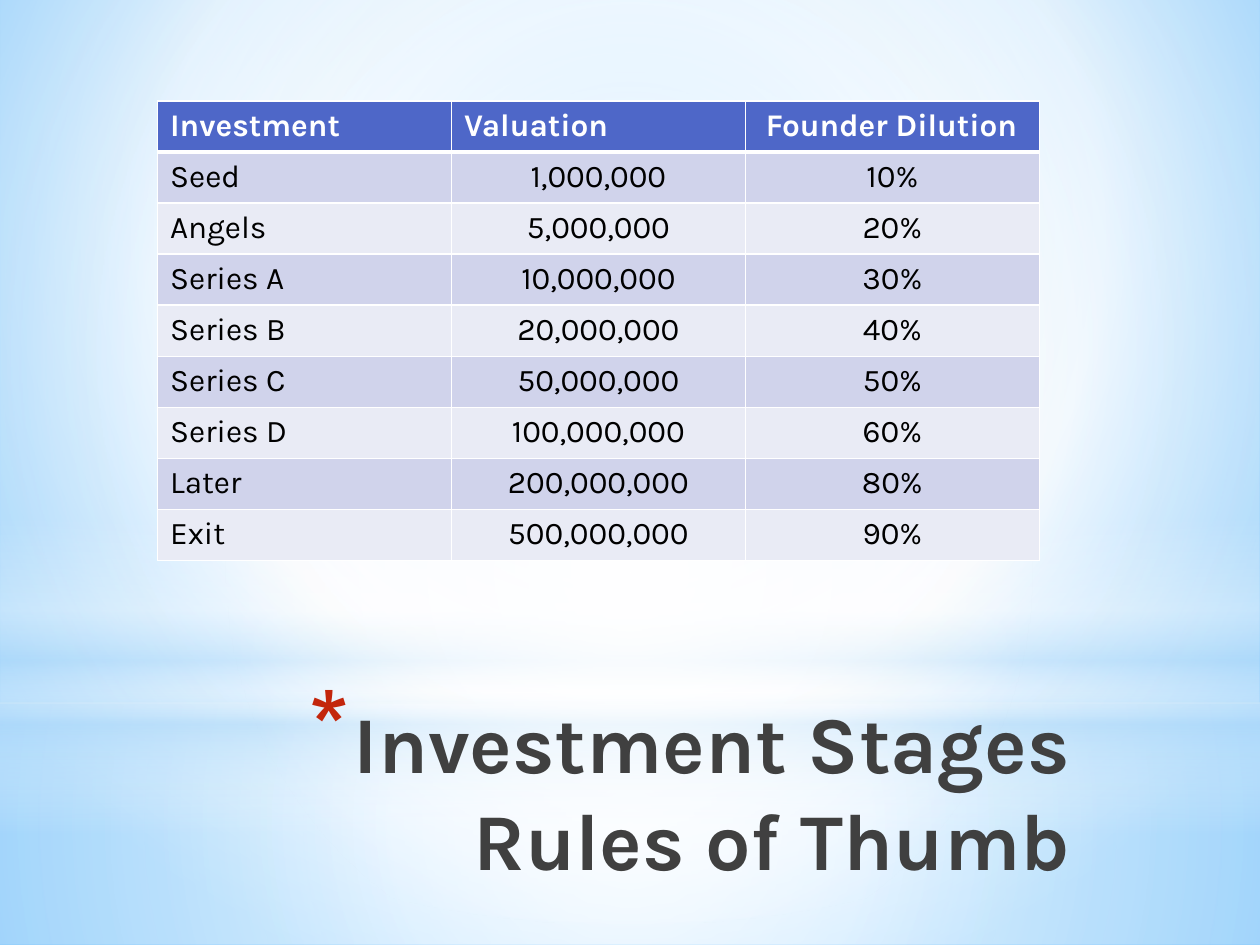
"""Build the investment stages slide: a table of rules of thumb over a soft gradient backdrop."""
from dataclasses import dataclass
from typing import Optional

from lxml import etree
from pptx import Presentation
from pptx.dml.color import RGBColor
from pptx.enum.shapes import MSO_SHAPE
from pptx.enum.text import MSO_ANCHOR, MSO_AUTO_SIZE, PP_ALIGN
from pptx.oxml.ns import qn
from pptx.util import Inches, Pt

RECTANGLE, OVAL = MSO_SHAPE.RECTANGLE, MSO_SHAPE.OVAL
LEFT, CENTER, RIGHT = PP_ALIGN.LEFT, PP_ALIGN.CENTER, PP_ALIGN.RIGHT
FONT = "Karla"
COLORS = {
    "white": "FFFFFF", "black": "000000", "title": "404040", "bullet": "C3260C",
    "header": "4E67C8", "odd": "D0D3EB", "even": "E9EBF5",
    "mist": "B4DCFA", "sky": "9ED5FF", "deep": "5BB9FF",
}


@dataclass(frozen=True)
class Stop:
    position: int
    color: str
    opacity: int = 100


@dataclass(frozen=True)
class Gradient:
    stops: tuple[Stop, ...]
    focus: Optional[tuple[int, int, int, int]] = (50, 50, 50, 50)


@dataclass(frozen=True)
class Glow:
    preset: MSO_SHAPE
    top: float
    height: float
    gradient: Gradient


@dataclass(frozen=True)
class Stage:
    name: str
    valuation: str
    dilution: str


BACKGROUND = Gradient((Stop(0, "sky"), Stop(60, "white"), Stop(100, "deep")), (20, 10, 20, 60))
GLOWS = (
    Glow(RECTANGLE, 5.58, 1.92, Gradient(
        (Stop(0, "white", 91), Stop(37, "white", 76), Stop(100, "mist", 79)))),
    Glow(RECTANGLE, 0, 5.58, Gradient(
        (Stop(0, "white", 89), Stop(48, "white", 62), Stop(100, "mist", 79)))),
    Glow(RECTANGLE, 4.12, 2.5, Gradient(
        (Stop(0, "white", 0), Stop(29, "white", 30), Stop(45, "mist", 40),
         Stop(55, "white", 26), Stop(65, "mist", 60), Stop(100, "white", 0)), None)),
    Glow(OVAL, 1.75, 5.58, Gradient((Stop(0, "white"), Stop(56, "white", 0)))),
)
HEADER = Stage("Investment", "Valuation", " Founder Dilution")
STAGES = (
    Stage("Seed", "1,000,000", "10%"),
    Stage("Angels", "5,000,000", "20%"),
    Stage("Series A", "10,000,000", "30%"),
    Stage("Series B", "20,000,000", "40%"),
    Stage("Series C", "50,000,000", "50%"),
    Stage("Series D", "100,000,000", "60%"),
    Stage("Later", "200,000,000", "80%"),
    Stage("Exit", "500,000,000", "90%"),
)


def rgb(name: str) -> RGBColor:
    """Return the named colour."""
    return RGBColor.from_string(COLORS[name])


def add_node(parent, tag: str, **attributes):
    """Append a child element with the given attributes."""
    return etree.SubElement(parent, qn(tag), {key: str(value) for key, value in attributes.items()})


def apply_gradient(properties, gradient: Gradient) -> None:
    """Put a gradient in place of the empty fill."""
    fill = etree.Element(qn("a:gradFill"), rotWithShape="1")
    stop_list = add_node(fill, "a:gsLst")
    for stop in gradient.stops:
        node = add_node(stop_list, "a:gs", pos=stop.position * 1000)
        color = add_node(node, "a:srgbClr", val=COLORS[stop.color])
        if stop.opacity < 100:
            add_node(color, "a:alpha", val=stop.opacity * 1000)
    if gradient.focus is None:
        add_node(fill, "a:lin", ang=90 * 60000, scaled=0)
    else:
        circle = add_node(fill, "a:path", path="circle")
        sides = {side: value * 1000 for side, value in zip("ltrb", gradient.focus)}
        add_node(circle, "a:fillToRect", **sides)
    properties.replace(properties.find(qn("a:noFill")), fill)


def add_glow(page, glow: Glow) -> None:
    """Draw one full-width backdrop shape."""
    shape = page.shapes.add_shape(
        glow.preset, 0, Inches(glow.top), Inches(10), Inches(glow.height))
    shape.shadow.inherit = False
    shape.line.fill.background()
    shape.fill.background()
    apply_gradient(shape.element.spPr, glow.gradient)


def format_title(page) -> None:
    """Place the title in front, with its starred bullet."""
    title = page.shapes.title
    title.element.getparent().append(title.element)
    title.left, title.top = Inches(0.92), Inches(5.45)
    title.width, title.height = Inches(7.67), Inches(1.25)
    frame = title.text_frame
    frame.text = "Investment Stages\vRules of Thumb"
    frame.word_wrap = True
    frame.auto_size = MSO_AUTO_SIZE.NONE
    frame.vertical_anchor = MSO_ANCHOR.TOP
    paragraph = frame.paragraphs[0]
    paragraph.alignment = RIGHT
    paragraph.line_spacing = 1.0
    paragraph.space_before = Pt(0)
    font = paragraph.font
    font.name, font.size, font.bold = FONT, Pt(46), True
    font.color.rgb = rgb("title")
    properties = paragraph._p.get_or_add_pPr()
    properties.set("marL", str(Inches(0.35)))
    properties.set("indent", str(Inches(-0.35)))
    bullet_color = etree.Element(qn("a:buClr"))
    add_node(bullet_color, "a:srgbClr", val=COLORS["bullet"])
    bullet_size = etree.Element(qn("a:buSzPct"), val="128000")
    bullet_mark = etree.Element(qn("a:buChar"), char="*")
    default_run = properties.find(qn("a:defRPr"))
    for node in (bullet_color, bullet_size, bullet_mark):
        default_run.addprevious(node)


def set_borders(cell, bottom: float) -> None:
    """Draw white cell borders with the given bottom width in points."""
    properties = cell._tc.get_or_add_tcPr()
    widths = {"a:lnL": 1, "a:lnR": 1, "a:lnT": 1, "a:lnB": bottom}
    for index, (tag, width) in enumerate(widths.items()):
        line = etree.Element(qn(tag), w=str(Pt(width)))
        add_node(add_node(line, "a:solidFill"), "a:srgbClr", val=COLORS["white"])
        properties.insert(index, line)


def format_cell(cell, text: str, fill: str, align: PP_ALIGN, is_header: bool) -> None:
    """Write and style one table cell."""
    cell.text = text
    cell.fill.solid()
    cell.fill.fore_color.rgb = rgb(fill)
    set_borders(cell, 3 if is_header else 1)
    paragraph = cell.text_frame.paragraphs[0]
    paragraph.alignment = align
    font = paragraph.font
    font.name, font.size, font.bold = FONT, Pt(18), is_header
    font.color.rgb = rgb("white" if is_header else "black")


def add_stage_table(page) -> None:
    """Build the table of stages."""
    rows = (HEADER, *STAGES)
    table = page.shapes.add_table(
        len(rows), 3, Inches(1.25), Inches(0.8), Inches(7), Inches(3.65)).table
    for row, stage in enumerate(rows):
        is_header = row == 0
        fill = "header" if is_header else "odd" if row % 2 else "even"
        for column, text in enumerate((stage.name, stage.valuation, stage.dilution)):
            align = LEFT if is_header or column == 0 else CENTER
            format_cell(table.cell(row, column), text, fill, align, is_header)


def main() -> None:
    """Assemble and save the deck."""
    deck = Presentation()
    deck.slide_width, deck.slide_height = Inches(10), Inches(7.5)
    page = deck.slides.add_slide(deck.slide_layouts[5])
    page.background.fill.background()
    apply_gradient(page.element.find(".//" + qn("p:bgPr")), BACKGROUND)
    for glow in GLOWS:
        add_glow(page, glow)
    format_title(page)
    add_stage_table(page)
    deck.save("out.pptx")


main()
